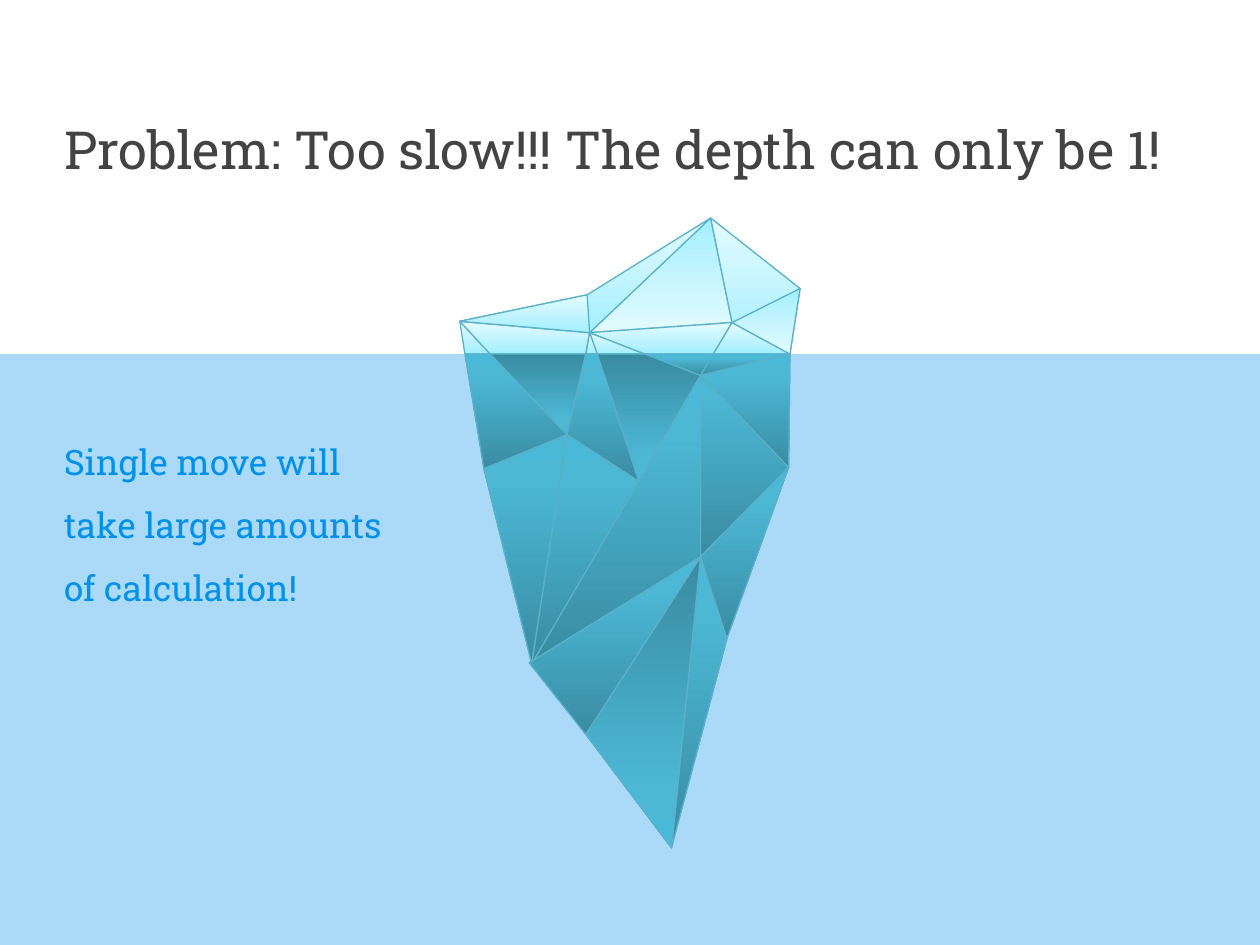
from copy import deepcopy

from lxml import etree
from pptx import Presentation
from pptx.dml.color import RGBColor
from pptx.enum.shapes import MSO_SHAPE
from pptx.enum.text import MSO_ANCHOR
from pptx.oxml.ns import qn
from pptx.util import Inches, Pt

RECTANGLE = MSO_SHAPE.RECTANGLE
TOP, BOTTOM = MSO_ANCHOR.TOP, MSO_ANCHOR.BOTTOM

FONT = "Roboto Slab"
DARK_GRAY = RGBColor(0x43, 0x43, 0x43)
BLUE = RGBColor(0x00, 0x91, 0xEA)
EDGE = RGBColor(0x5A, 0xB1, 0xC9)
ICE = [
    (0, RGBColor(0xA1, 0xEF, 0xFF)),
    (0.35, RGBColor(0xBB, 0xF2, 0xFF)),
    (1, RGBColor(0xE3, 0xFC, 0xFF)),
]
DEEP = [
    (0, RGBColor(0x39, 0x8B, 0xA2)),
    (0.8, RGBColor(0x4C, 0xB8, 0xD4)),
    (1, RGBColor(0x4A, 0xB9, 0xD8)),
]
# Counter-clockwise direction in which each gradient runs
UP, DOWN = 90, 270

WATERLINE = 2.81
VERTICES = {
    # Above the water
    "peak": (5.64, 1.73), "saddle": (4.66, 2.34), "ridge": (4.68, 2.64),
    "left": (3.65, 2.55), "front": (5.81, 2.56), "right": (6.35, 2.29),
    # On the waterline, from left to right
    "w1": (3.69, WATERLINE), "w2": (3.89, WATERLINE),
    "w3": (4.65, WATERLINE), "w4": (4.74, WATERLINE),
    "w5": (5.12, WATERLINE), "w6": (5.66, WATERLINE),
    "w7": (6.27, WATERLINE),
    # Under the water
    "notch": (5.56, 2.98), "inner": (4.5, 3.45), "mid": (5.07, 3.82),
    "west": (3.84, 3.72), "east": (6.26, 3.71), "core": (5.56, 4.42),
    "hip": (4.22, 5.27), "heel": (4.2, 5.26), "flank": (5.77, 5.07),
    "keel": (4.65, 5.83), "tip": (5.33, 6.73),
}
# Back to front: corners, gradient, direction
FACES = [
    ("w7 left w2", ICE, UP),
    ("peak ridge front", ICE, DOWN),
    ("peak right w7 front", ICE, UP),
    ("left w2 w1", ICE, UP),
    ("ridge w3 w2 left", ICE, UP),
    ("peak ridge left saddle", ICE, UP),
    ("front w7 w6", ICE, UP),
    ("w4 ridge w5", ICE, UP),
    ("saddle ridge left", ICE, UP),
    ("right front w7", ICE, DOWN),
    ("w4 ridge w3", ICE, UP),
    ("w7 east core notch", DEEP, UP),
    ("inner hip west", DEEP, UP),
    ("w3 inner w2", DEEP, DOWN),
    ("core flank tip", DEEP, UP),
    ("w7 notch w6", DEEP, UP),
    ("mid w4 w5 notch", DEEP, DOWN),
    ("mid inner hip", DEEP, UP),
    ("notch hip core", DEEP, UP),
    ("w2 inner west w1", DEEP, UP),
    ("w7 notch east", DEEP, UP),
    ("inner mid w4 w3", DEEP, UP),
    ("heel core keel", DEEP, UP),
    ("keel tip core", DEEP, DOWN),
    ("east flank core", DEEP, UP),
    ("ridge front w6 w5", ICE, UP),
    ("notch w6 w5", DEEP, UP),
]


def add_text(slide, text, left, top, width, height, *, size, color,
             anchor=TOP, bottom_inset=0.1):
    box = slide.shapes.add_textbox(
        Inches(left), Inches(top), Inches(width), Inches(height))
    tf = box.text_frame
    tf.word_wrap = True
    tf.vertical_anchor = anchor
    tf.margin_left = tf.margin_right = tf.margin_top = Inches(0.1)
    tf.margin_bottom = Inches(bottom_inset)
    p = tf.paragraphs[0]
    p.line_spacing = 1.5
    r = p.add_run()
    r.text = text
    r.font.name = FONT
    r.font.size = Pt(size)
    r.font.color.rgb = color


def add_sea(slide):
    sp = slide.shapes.add_shape(
        RECTANGLE, 0, Inches(WATERLINE), Inches(10), Inches(7.5 - WATERLINE))
    sp.shadow.inherit = False
    sp.fill.solid()
    sp.fill.fore_color.rgb = BLUE
    color = sp._element.spPr.find(qn("a:solidFill"))[0]
    etree.SubElement(color, qn("a:alpha")).set("val", "33000")
    sp.line.fill.background()


def fill_gradient(sp, stops, angle):
    sp.fill.gradient()
    sp.fill.gradient_angle = angle
    stop_list = sp._element.spPr.find(qn("a:gradFill")).find(qn("a:gsLst"))
    while len(stop_list) < len(stops):
        stop_list.append(deepcopy(stop_list[-1]))
    for stop, (position, color) in zip(sp.fill.gradient_stops, stops):
        stop.position = position
        stop.color.rgb = color


def add_face(slide, corners, stops, angle):
    points = [(Inches(x), Inches(y))
              for x, y in (VERTICES[name] for name in corners.split())]
    builder = slide.shapes.build_freeform(*points[0])
    builder.add_line_segments(points[1:], close=True)
    sp = builder.convert_to_shape()
    sp.shadow.inherit = False
    fill_gradient(sp, stops, angle)
    sp.line.color.rgb = EDGE
    sp.line.width = Pt(0.75)
    return sp


def add_iceberg(slide):
    faces = [add_face(slide, *face) for face in FACES]
    slide.shapes.add_group_shape(faces)


def main():
    prs = Presentation()
    prs.slide_width, prs.slide_height = Inches(10), Inches(7.5)
    slide = prs.slides.add_slide(prs.slide_layouts[6])
    add_text(slide, "Problem: Too slow!!! The depth can only be 1!",
             0.41, 0.3, 9.41, 1.78, size=30, color=DARK_GRAY,
             anchor=BOTTOM, bottom_inset=0.65)
    add_sea(slide)
    add_iceberg(slide)
    add_text(slide, "Single move will take large amounts of calculation!",
             0.41, 3.23, 3.01, 2.64, size=20, color=BLUE)
    prs.save("out.pptx")


if __name__ == "__main__":
    main()
